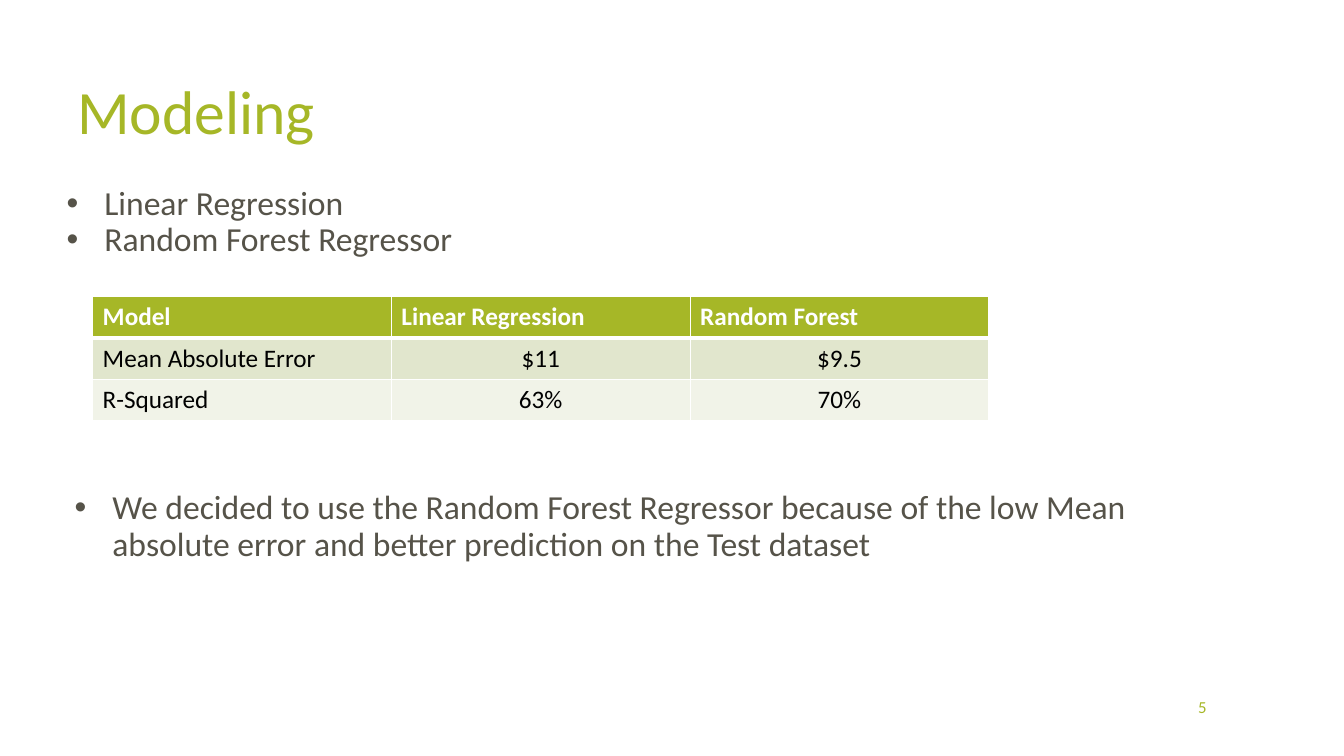
import pptx
import pptx.dml.color
import pptx.enum.text
import pptx.oxml
import pptx.oxml.ns
import pptx.util

Pt = pptx.util.Pt
ALIGN = pptx.enum.text.PP_ALIGN
ANCHOR = pptx.enum.text.MSO_ANCHOR
COLORS = {"green": "A6B727", "grey": "565349", "white": "FFFFFF",
          "black": "000000", "band": "E1E6CD", "pale": "F1F3E8"}
NS = pptx.oxml.ns.nsdecls("a")
OUTLINE = f"""<a:ln {NS} w="9525"><a:solidFill><a:srgbClr val="{COLORS['white']}">
<a:alpha val="10000"/></a:srgbClr></a:solidFill><a:prstDash val="solid"/></a:ln>"""
SHADOW = f"""<a:effectLst {NS}><a:outerShdw blurRad="38100" dist="22860" dir="2700000"
algn="tl"><a:srgbClr val="{COLORS['black']}"><a:alpha val="40000"/></a:srgbClr>
</a:outerShdw></a:effectLst>"""


def rgb(name):
    return pptx.dml.color.RGBColor.from_string(COLORS[name])


def set_all(target, values):
    for key, value in values.items():
        setattr(target, key, value)


class Deck:
    """Holds the style and the current slide, and adds each kind of element."""

    def __init__(self, prs, s, font="Calibri"):
        self.prs, self.s, self.font = prs, s, font

    def place(self, sp, box):
        set_all(sp, dict(zip(("left", "top", "width", "height"), map(Pt, box))))

    def frame(self, tf, anchor):
        set_all(tf, {"word_wrap": True, "vertical_anchor": anchor,
                     "auto_size": pptx.enum.text.MSO_AUTO_SIZE.NONE})

    def add_text(self, p, text, size, color, bold=False, **paragraph):
        set_all(p, paragraph)
        r = p.add_run()
        r.text = text
        set_all(r.font, {"name": self.font, "size": Pt(size), "bold": bold})
        r.font.color.rgb = rgb(color)
        return r

    def title(self, text, box):
        sp = self.s.shapes.title
        self.place(sp, box)
        self.frame(sp.text_frame, ANCHOR.MIDDLE)
        self.add_text(sp.text_frame.paragraphs[0], text, 44, "green",
                      alignment=ALIGN.LEFT, line_spacing=0.9)

    def bullets(self, idx, items, box):
        sp = self.s.placeholders[idx]
        self.place(sp, box)
        tf = sp.text_frame
        self.frame(tf, ANCHOR.TOP)
        for i, item in enumerate(items):
            p = tf.add_paragraph() if i else tf.paragraphs[0]
            r = self.add_text(p, item, 24, "grey", line_spacing=0.9, space_before=Pt(0))
            pPr = p._p.get_or_add_pPr()
            pPr.set("marL", str(Pt(27)))
            pPr.set("indent", str(-Pt(27)))
            for xml in (f'<a:buFont {NS} typeface="Arial"/>', f'<a:buChar {NS} char="•"/>'):
                pPr.append(pptx.oxml.parse_xml(xml))
            rPr = r._r.get_or_add_rPr()
            rPr.insert(0, pptx.oxml.parse_xml(OUTLINE))
            rPr.insert(2, pptx.oxml.parse_xml(SHADOW))

    def number(self, text, box):
        sp = self.s.shapes.add_textbox(*map(Pt, box))
        self.frame(sp.text_frame, ANCHOR.MIDDLE)
        self.add_text(sp.text_frame.paragraphs[0], text, 12, "green", alignment=ALIGN.RIGHT)

    def borders(self, cell, widths):
        tcPr = cell._tc.get_or_add_tcPr()
        for i, (side, width) in enumerate(widths.items()):
            tcPr.insert(i, pptx.oxml.parse_xml(
                f'<a:ln{side} {NS} w="{Pt(width)}"><a:solidFill>'
                f'<a:srgbClr val="{COLORS["white"]}"/></a:solidFill></a:ln{side}>'))

    def table(self, rows, fills, heights, box):
        table = self.s.shapes.add_table(len(rows), len(rows[0]), *map(Pt, box)).table
        for column in table.columns:
            column.width = Pt(box[2] / len(rows[0]))
        for i, (row, fill, height) in enumerate(zip(rows, fills, heights)):
            table.rows[i].height = Pt(height)
            for j, text in enumerate(row):
                cell = table.cell(i, j)
                cell.fill.solid()
                cell.fill.fore_color.rgb = rgb(fill)
                self.borders(cell, {"L": 1, "R": 1, "T": 3 if i == 1 else 1,
                                    "B": 1 if i else 3})
                self.add_text(cell.text_frame.paragraphs[0], text, 18,
                              "black" if i else "white", bold=not i,
                              alignment=ALIGN.CENTER if i and j else ALIGN.LEFT)


def main():
    prs = pptx.Presentation()
    set_all(prs, {"slide_width": Pt(960), "slide_height": Pt(540)})
    deck = Deck(prs, prs.slides.add_slide(prs.slide_layouts[3]))
    deck.title("Modeling", (48, 40.3, 815, 82.8))
    deck.number("5", (734.4, 490.3, 134.6, 28.8))
    deck.bullets(1, ["Linear Regression", "Random Forest Regressor"],
                 (40.3, 129.6, 409.7, 82.8))
    deck.table([["Model", "Linear Regression", "Random Forest"],
                ["Mean Absolute Error", "$11", "$9.5"],
                ["R-Squared", "63%", "70%"]],
               ["green", "band", "pale"], [30, 29.3, 29.3], (66.2, 211.7, 640.2, 88.6))
    deck.bullets(2, ["We decided to use the Random Forest Regressor because of the low Mean "
                     "absolute error and better prediction on the Test dataset"],
                 (46.1, 347, 823, 82.8))
    prs.save("out.pptx")


if __name__ == "__main__":
    main()
